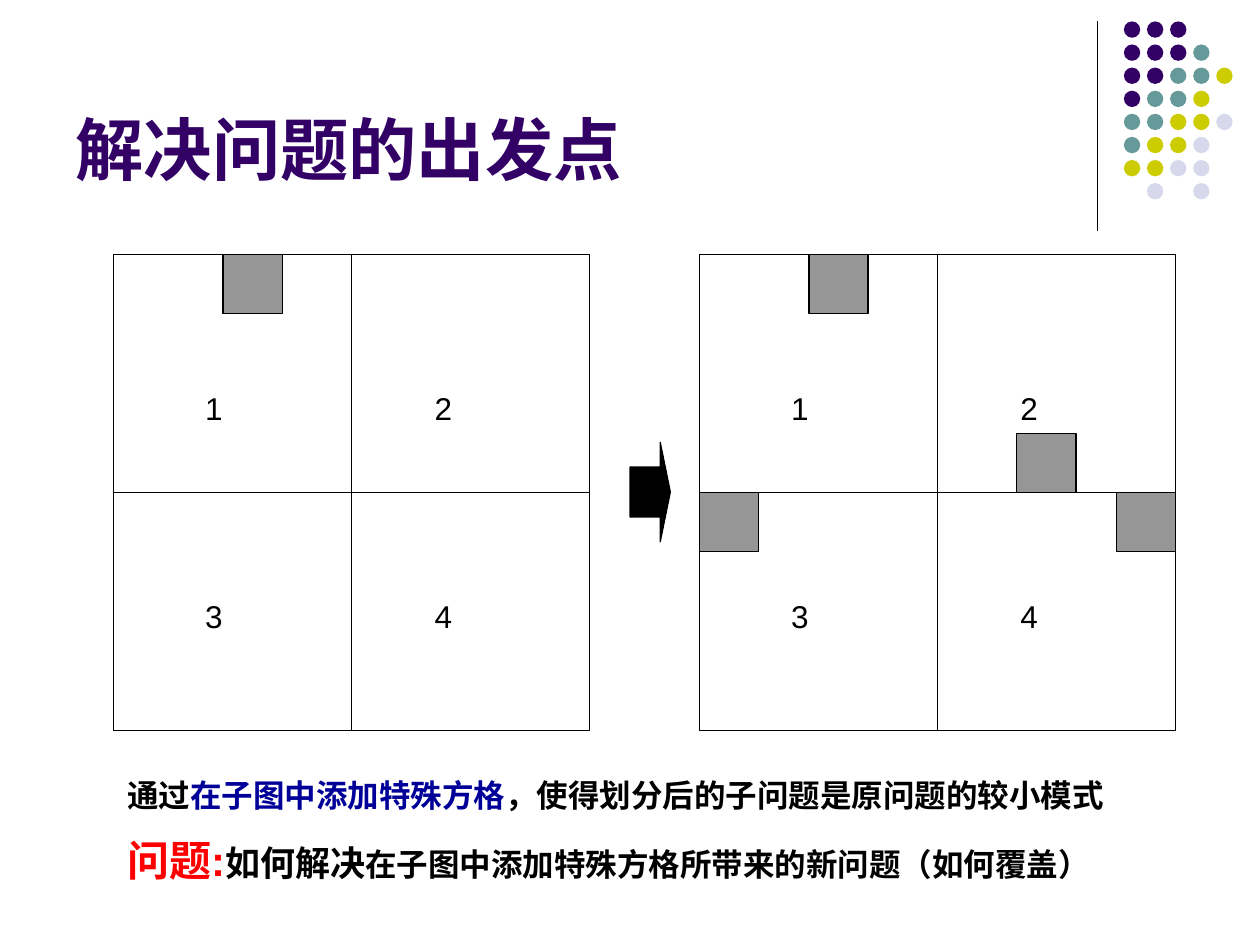
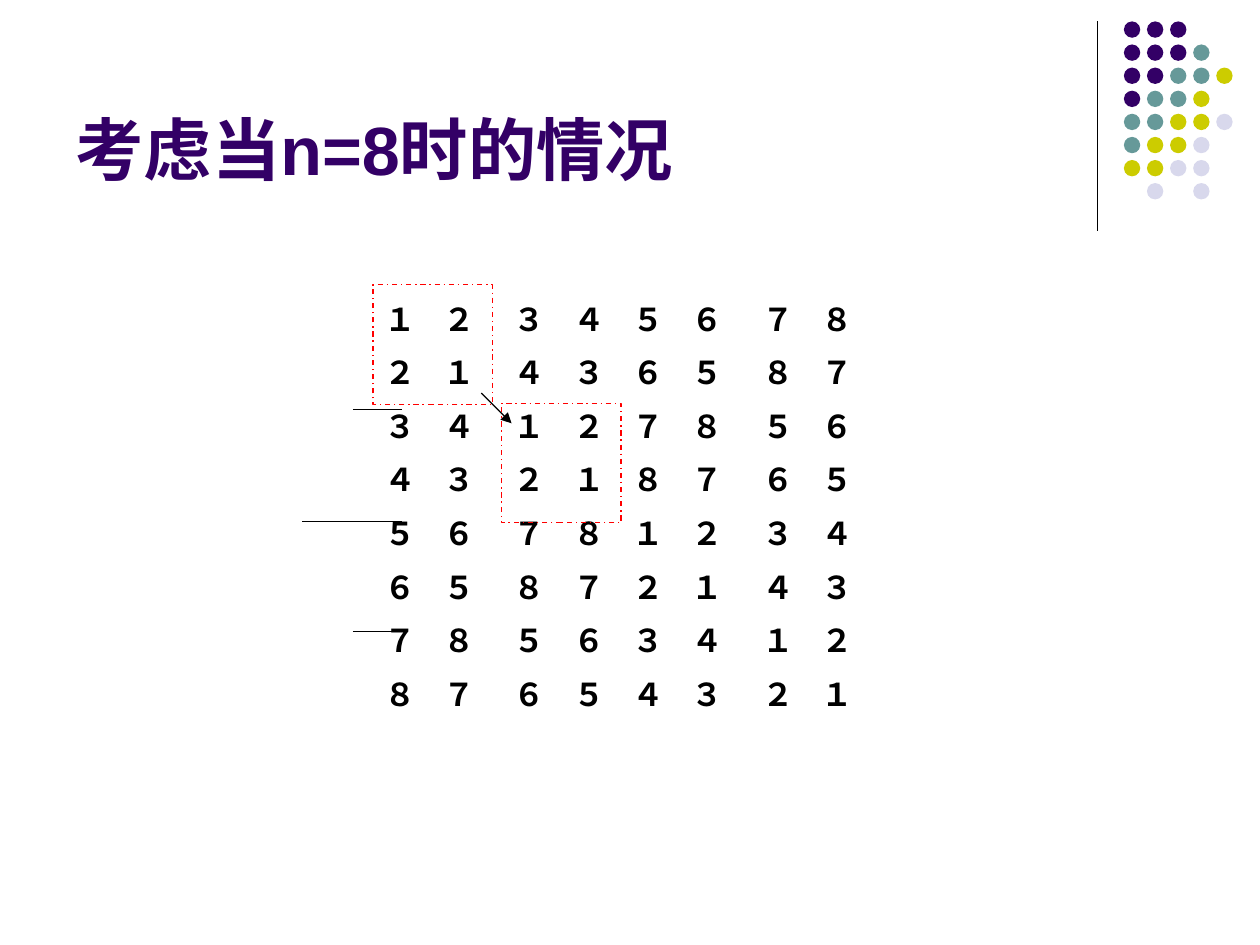
import pptx
import pptx.dml.color
import pptx.enum.dml
import pptx.enum.shapes
import pptx.enum.text
import pptx.oxml
import pptx.oxml.ns
import pptx.util
from dataclasses import dataclass

Inches = pptx.util.Inches
Pt = pptx.util.Pt
SHAPES = pptx.enum.shapes.MSO_SHAPE


@dataclass(frozen=True)
class Theme:
    font: str = "Arial"
    purple: str = "330066"
    teal: str = "669999"
    lime: str = "CCCC00"
    lavender: str = "D8D8EC"
    black: str = "000000"
    white: str = "FFFFFF"
    gray: str = "969696"
    blue: str = "000099"
    red: str = "FF0000"
    title_size: float = 39
    body_size: float = 18
    lead_size: float = 20
    alert_size: float = 24
    space_ratio: float = 0.5
    line_width: float = 0.75


THEME = Theme()

DOT_ROWS = ["PPP", "PPPT", "PPTTY", "PTTY", "TTYYL", "TYYL", "YYLL", " L L"]
DOT_COLORS = {"P": THEME.purple, "T": THEME.teal,
              "Y": THEME.lime, "L": THEME.lavender}

QUADRANT = 1.89
CELL = 0.47
BOARD_TOP = 2.02
DIGITS = "１２３４５６７８"


def rgb(color):
    return pptx.dml.color.RGBColor.from_string(color)


def style_font(font, size, color, bold=False):
    font.name = THEME.font
    font.size = Pt(size)
    font.bold = bold
    font.color.rgb = rgb(color)


def add_figure(slide, kind, left, top, width, height,
               fill=None, line=None, dash=None):
    figure = slide.shapes.add_shape(
        kind, Inches(left), Inches(top), Inches(width), Inches(height))
    figure.shadow.inherit = False
    if fill:
        figure.fill.solid()
        figure.fill.fore_color.rgb = rgb(fill)
    else:
        figure.fill.background()
    if line:
        figure.line.color.rgb = rgb(line)
        figure.line.width = Pt(THEME.line_width)
        if dash:
            figure.line.dash_style = dash
    else:
        figure.line.fill.background()
    return figure


def add_line(slide, x1, y1, x2, y2, arrow=False):
    line = slide.shapes.add_connector(
        pptx.enum.shapes.MSO_CONNECTOR.STRAIGHT,
        Inches(x1), Inches(y1), Inches(x2), Inches(y2))
    line.line.color.rgb = rgb(THEME.black)
    line.line.width = Pt(THEME.line_width)
    namespace = pptx.oxml.ns.nsdecls("a")
    properties = line._element.spPr
    if arrow:
        properties.find(pptx.oxml.ns.qn("a:ln")).append(
            pptx.oxml.parse_xml(f'<a:tailEnd {namespace} type="triangle"/>'))
    properties.append(pptx.oxml.parse_xml(f"<a:effectLst {namespace}/>"))


def add_text(slide, left, top, width, height, paragraphs, bold=False):
    """Each paragraph is a list of (text, size, color) runs."""
    box = slide.shapes.add_textbox(
        Inches(left), Inches(top), Inches(width), Inches(height))
    frame = box.text_frame
    frame.word_wrap = True
    frame.auto_size = pptx.enum.text.MSO_AUTO_SIZE.SHAPE_TO_FIT_TEXT
    for index, runs in enumerate(paragraphs):
        paragraph = frame.add_paragraph() if index else frame.paragraphs[0]
        largest = max(size for _, size, _ in runs)
        paragraph.space_before = Pt(THEME.space_ratio * largest)
        style_font(paragraph.font, runs[0][1], runs[0][2], bold)
        for text, size, color in runs:
            run = paragraph.add_run()
            run.text = text
            if len(runs) > 1:
                style_font(run.font, size, color, bold)


def add_titled_slide(deck, heading):
    slide = deck.slides.add_slide(deck.slide_layouts[5])

    # Corner decoration: rule and dot pattern
    add_line(slide, 8.71, 0.17, 8.71, 1.83)
    for row, codes in enumerate(DOT_ROWS):
        for column, code in enumerate(codes):
            if code in DOT_COLORS:
                add_figure(slide, SHAPES.OVAL,
                           8.92 + 1.1 * column / 6, 0.17 + 1.1 * row / 6,
                           0.13, 0.13, DOT_COLORS[code])

    # Title
    title = slide.shapes.title
    title.left, title.top = Inches(0.5), Inches(0.13)
    title.width, title.height = Inches(8.25), Inches(1.42)
    frame = title.text_frame
    frame.text = heading
    frame.auto_size = pptx.enum.text.MSO_AUTO_SIZE.NONE
    frame.vertical_anchor = pptx.enum.text.MSO_ANCHOR.BOTTOM
    frame.paragraphs[0].alignment = pptx.enum.text.PP_ALIGN.LEFT
    style_font(frame.paragraphs[0].font, THEME.title_size, THEME.purple, True)
    return slide


def add_board(slide, left, special_cells):
    """Four numbered quadrants with special cells at offsets in the board."""
    corners = [(row, column) for row in range(2) for column in range(2)]
    for row, column in corners:
        add_figure(slide, SHAPES.RECTANGLE, left + column * QUADRANT,
                   BOARD_TOP + row * QUADRANT, QUADRANT, QUADRANT,
                   THEME.white, THEME.black)
    for number, (row, column) in enumerate(corners, 1):
        add_text(slide, left + 0.63 + 1.82 * column,
                 BOARD_TOP + 1.02 + 1.65 * row, 0.55, 0.4,
                 [[(str(number), THEME.body_size, THEME.black)]])
    for x, y in special_cells:
        add_figure(slide, SHAPES.RECTANGLE, left + x, BOARD_TOP + y,
                   CELL, CELL, THEME.gray, THEME.black)


def build_starting_point(deck):
    slide = add_titled_slide(deck, "解决问题的出发点")

    # Board before and after adding special cells
    given_cell = (0.87, 0)
    added_cells = [(0, QUADRANT), (2 * QUADRANT - CELL, QUADRANT),
                   (2.52, QUADRANT - CELL)]
    add_board(slide, 0.9, [given_cell])
    add_board(slide, 5.55, [given_cell] + added_cells)
    step = add_figure(slide, SHAPES.RIGHT_ARROW, 5, 3.51, 0.32, 0.79,
                      THEME.black, THEME.black)
    step.adjustments[0], step.adjustments[1] = 0.5, 0.25

    # Explanation
    size = THEME.body_size
    add_text(slide, 0.91, 6.11, 8.35, 1, [
        [("通过", size, THEME.black),
         ("在子图中添加特殊方格", size, THEME.blue),
         ("，使得划分后的子问题是原问题的较小模式", size, THEME.black)],
        [("问题:", THEME.alert_size, THEME.red),
         ("如何解决", THEME.lead_size, THEME.black),
         ("在子图中添加特殊方格所带来的新问题（如何覆盖）",
          size, THEME.black)],
    ], bold=True)


def build_eight_case(deck):
    slide = add_titled_slide(deck, "考虑当n=8时的情况")

    # Schedule columns: entry is row XOR column, with a gap after 2 and 6
    for column in range(8):
        left = 2.95 + CELL * column + 0.09 * ((column + 2) // 4)
        entries = [[(DIGITS[row ^ column], THEME.body_size, THEME.black)]
                   for row in range(8)]
        add_text(slide, left, 2.33, CELL, 3.56, entries, bold=True)

    # Division marks
    for start, y in [(2.4, 4.14), (2.8, 3.25), (2.8, 5.01)]:
        add_line(slide, start, y, 3.19, y)

    # Block copied along the diagonal
    for left, top in [(2.96, 2.26), (3.98, 3.2)]:
        add_figure(slide, SHAPES.RECTANGLE, left, top, 0.95, 0.95,
                   line=THEME.red,
                   dash=pptx.enum.dml.MSO_LINE.DASH_DOT)
    add_line(slide, 3.82, 3.12, 4.06, 3.36, arrow=True)


def main():
    deck = pptx.Presentation()
    deck.slide_width, deck.slide_height = Inches(10), Inches(7.5)
    build_starting_point(deck)
    build_eight_case(deck)
    deck.save("out.pptx")


if __name__ == "__main__":
    main()
